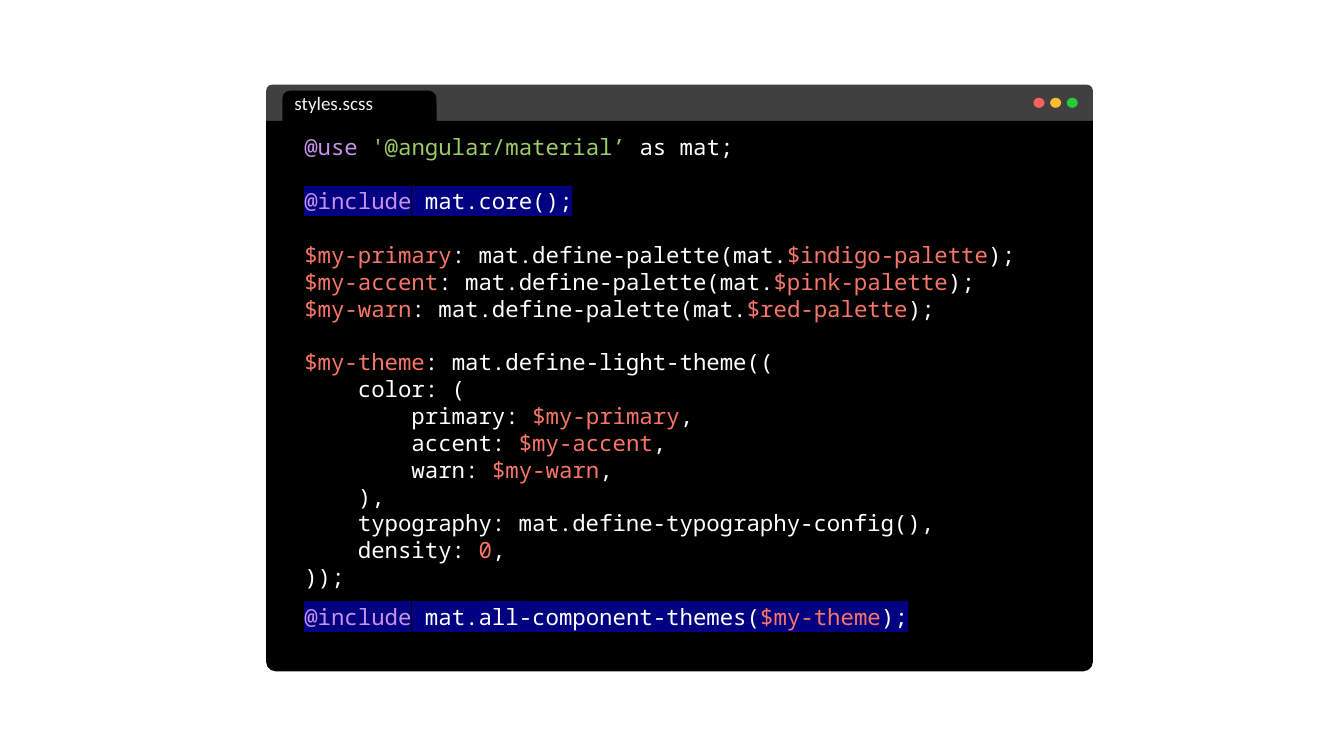
from lxml.etree import SubElement
from pptx import Presentation
from pptx.dml.color import RGBColor
from pptx.enum.shapes import MSO_SHAPE
from pptx.enum.text import MSO_ANCHOR, PP_ALIGN
from pptx.oxml.ns import qn
from pptx.util import Inches, Pt

COLORS = {
    "title bar": "404040",
    "editor": "000000",
    "tab text": "F2F2F2",
    "close": "FE615D",
    "minimize": "FDBC2B",
    "zoom": "22CD35",
    "keyword": "C792EA",
    "string": "9CCC65",
    "plain": "FFFFFF",
    "variable": "F77669",
    "highlight": "000080",
}
CODE_FONT, LABEL_FONT = "Noto Sans Mono", "Calibri"
CODE_SIZE, LINE_PITCH = 16, 19.2


def palette_line(name, palette):
    return [(f"$my-{name}", "variable"), (": mat.define-palette(mat.", "plain"),
            (f"${palette}-palette", "variable"), (");", "plain")]


def color_line(name):
    return [(f"        {name}: ", "plain"), (f"$my-{name}", "variable"), (",", "plain")]


# Each entry: runs, space before in points, highlighted
CODE = [
    ([("@use ", "keyword"), ("'@angular/material’", "string"), (" as mat;", "plain")], 0, False),
    ([("@include", "keyword"), (" mat.core();", "plain")], LINE_PITCH, True),
    (palette_line("primary", "indigo"), LINE_PITCH, False),
    (palette_line("accent", "pink"), 0, False),
    (palette_line("warn", "red"), 0, False),
    ([("$my-theme", "variable"), (": mat.define-light-theme((", "plain")], LINE_PITCH, False),
    ([("    color: (", "plain")], 0, False),
    (color_line("primary"), 0, False),
    (color_line("accent"), 0, False),
    (color_line("warn"), 0, False),
    ([("    ),", "plain")], 0, False),
    ([("    typography: mat.define-typography-config(),", "plain")], 0, False),
    ([("    density: ", "plain"), ("0", "variable"), (",", "plain")], 0, False),
    ([("));", "plain")], 0, False),
    ([("@include", "keyword"), (" mat.all-component-themes(", "plain"),
      ("$my-theme", "variable"), (");", "plain")], 9, True),
]


class EditorSlide:
    def __init__(self, presentation):
        self.slide = presentation.slides.add_slide(presentation.slide_layouts[6])

    def shape(self, kind, box, color, adjustments=()):
        shape = self.slide.shapes.add_shape(kind, *map(Inches, box))
        for index, value in enumerate(adjustments):
            shape.adjustments[index] = value
        shape.shadow.inherit = False
        shape.fill.solid()
        shape.fill.fore_color.rgb = RGBColor.from_string(COLORS[color])
        shape.line.fill.background()
        return shape

    def run(self, paragraph, text, color, size, font, highlighted=False):
        run = paragraph.add_run()
        run.text = text
        run.font.size = Pt(size)
        run.font.name = font
        run.font.color.rgb = RGBColor.from_string(COLORS[color])
        if highlighted:
            properties = run.font._element
            highlight = SubElement(properties, qn("a:highlight"))
            SubElement(highlight, qn("a:srgbClr"), val=COLORS["highlight"])
            properties.find(qn("a:solidFill")).addnext(highlight)

    def tab(self, box, label):
        shape = self.shape(MSO_SHAPE.ROUND_2_SAME_RECTANGLE, box, "editor", (0.26, 0))
        frame = shape.text_frame
        frame.vertical_anchor = MSO_ANCHOR.MIDDLE
        frame.margin_top, frame.margin_bottom = Inches(0.08), Inches(0.16)
        paragraph = frame.paragraphs[0]
        paragraph.alignment = PP_ALIGN.LEFT
        paragraph.space_after = Pt(6)
        self.run(paragraph, label, "tab text", 13.6, LABEL_FONT)

    def code(self, box, lines):
        frame = self.slide.shapes.add_textbox(*map(Inches, box)).text_frame
        frame.word_wrap = True
        frame.vertical_anchor = MSO_ANCHOR.MIDDLE
        frame.margin_top = frame.margin_bottom = Inches(0.08)
        for index, (runs, space_before, highlighted) in enumerate(lines):
            paragraph = frame.add_paragraph() if index else frame.paragraphs[0]
            paragraph.line_spacing = Pt(LINE_PITCH)
            paragraph.space_before = Pt(space_before)
            for text, color in runs:
                self.run(paragraph, text, color, CODE_SIZE, CODE_FONT, highlighted)


def main():
    presentation = Presentation()
    presentation.slide_width, presentation.slide_height = Inches(13.33), Inches(7.5)
    editor = EditorSlide(presentation)
    editor.shape(MSO_SHAPE.ROUND_2_SAME_RECTANGLE, (2.64, 0.84, 8.2, 0.36), "title bar")
    editor.shape(MSO_SHAPE.ROUND_2_SAME_RECTANGLE, (2.64, 1.2, 8.2, 5.46), "editor", (0, 0.017))
    editor.tab((2.8, 0.9, 1.53, 0.3), "styles.scss")
    for index, button in enumerate(("close", "minimize", "zoom")):
        editor.shape(MSO_SHAPE.OVAL, (10.25 + 0.165 * index, 0.97, 0.11, 0.1), button)
    editor.code((2.92, 1.21, 7.56, 5.15), CODE)
    presentation.save("out.pptx")


if __name__ == "__main__":
    main()
